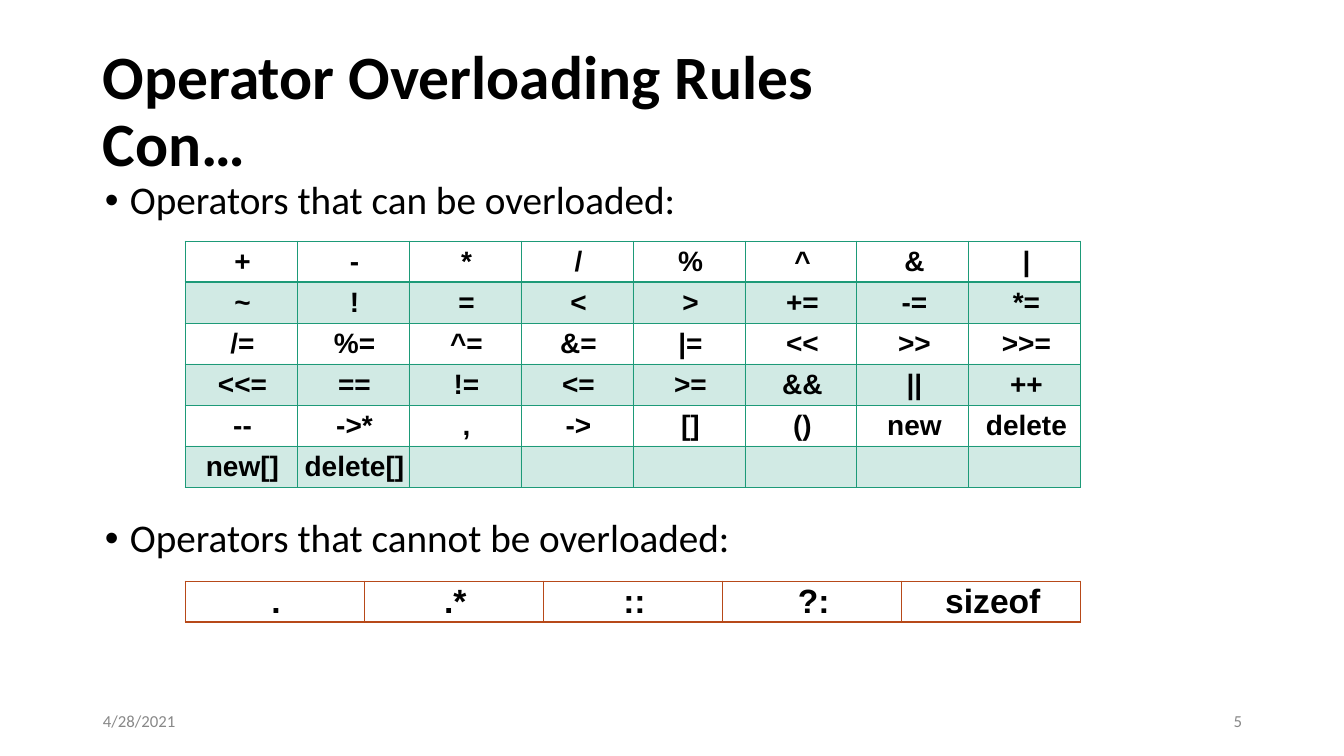
from lxml import etree
from pptx import Presentation
from pptx.dml.color import RGBColor
from pptx.enum.text import MSO_ANCHOR, PP_ALIGN
from pptx.oxml.ns import qn
from pptx.util import Pt

LEFT, CENTER, RIGHT = PP_ALIGN.LEFT, PP_ALIGN.CENTER, PP_ALIGN.RIGHT
TOP, MIDDLE = MSO_ANCHOR.TOP, MSO_ANCHOR.MIDDLE
PX = 914400 / 100.8
BLACK, GRAY, GREEN, RUST = "000000", "888888", "1D9A78", "B74919"


def px(n):
    return round(n * PX)


def write(frame, text, size=28, font="Calibri", color=BLACK, bold=False,
          align=LEFT, anchor=TOP, spacing=1.0, indent=0, bullet=False):
    frame.word_wrap = True
    frame.vertical_anchor = anchor
    para = frame.paragraphs[0]
    para.text = text
    props = para._p.get_or_add_pPr()
    props.set("marL", str(px(indent)))
    if bullet:
        props.set("indent", str(-px(indent)))
        etree.SubElement(props, qn("a:buFont")).set("typeface", "Arial")
        etree.SubElement(props, qn("a:buChar")).set("char", "•")
    para.alignment = align
    para.line_spacing = spacing
    for run in para.runs:
        run.font.size = Pt(size)
        run.font.name = font
        run.font.bold = bold
        run.font.color.rgb = RGBColor.from_string(color)


prs = Presentation()
prs.slide_width, prs.slide_height = px(1344), px(756)
slide = prs.slides.add_slide(prs.slide_layouts[6])
shapes = slide.shapes

# Title, bullets, date and page number
small = dict(size=12, color=GRAY, anchor=MIDDLE)
item = dict(spacing=0.9, indent=25, bullet=True)
boxes = [
    (93, 40, 1159, 146, "Operator Overloading Rules\vCon…",
     dict(size=44, bold=True, anchor=MIDDLE, spacing=0.9)),
    (95, 176, 1159, 52, "Operators that can be overloaded:", item),
    (95, 514, 1159, 52, "Operators that cannot be overloaded:", item),
    (93, 701, 302, 40, "4/28/2021", small),
    (950, 701, 302, 40, "5", dict(small, align=RIGHT)),
]
for x, y, w, h, text, look in boxes:
    box = shapes.add_textbox(px(x), px(y), px(w), px(h))
    write(box.text_frame, text, **look)

# Operator tables: top, text size, line colour, rows
can = [
    "+ - * / % ^ & |",
    "~ ! = < > += -= *=",
    "/= %= ^= &= |= << >> >>=",
    "<<= == != <= >= && || ++",
    "-- ->* , -> [] () new delete",
    "new[] delete[]",
]
tables = [(241, 20, GREEN, can), (581, 24, RUST, [". .* :: ?: sizeof"])]
WIDTH, ROW = 896, 41
for top, size, color, lines in tables:
    rows = [line.split() for line in lines]
    cols = len(rows[0])
    table = shapes.add_table(len(rows), cols, px(185), px(top),
                             px(WIDTH), px(ROW * len(rows))).table
    table.first_row = table.horz_banding = False
    for col in table.columns:
        col.width = px(WIDTH) // cols
    for r, words in enumerate(rows):
        table.rows[r].height = px(ROW)
        for c in range(cols):
            cell = table.cell(r, c)
            cell.margin_left = cell.margin_right = 0
            cell.margin_top = cell.margin_bottom = 0
            cell.vertical_anchor = MIDDLE
            if c < len(words):
                write(cell.text_frame, words[c], size=size, font="Arial",
                      bold=True, align=CENTER, indent=3)

            # Borders, thicker under the first row
            props = cell._tc.get_or_add_tcPr()
            for side in "LRTB":
                thick = (side == "B" and r == 0) or (side == "T" and r == 1)
                edge = etree.SubElement(props, qn("a:ln" + side))
                edge.set("w", str(Pt(2 if thick else 0.75)))
                paint = etree.SubElement(edge, qn("a:solidFill"))
                etree.SubElement(paint, qn("a:srgbClr")).set("val", color)

            # Pale fill on every other row
            if r % 2:
                cell.fill.solid()
                cell.fill.fore_color.rgb = RGBColor.from_string(color)
                tint = props.find(qn("a:solidFill")).find(qn("a:srgbClr"))
                etree.SubElement(tint, qn("a:alpha")).set("val", "20000")
            else:
                cell.fill.background()

prs.save("out.pptx")
